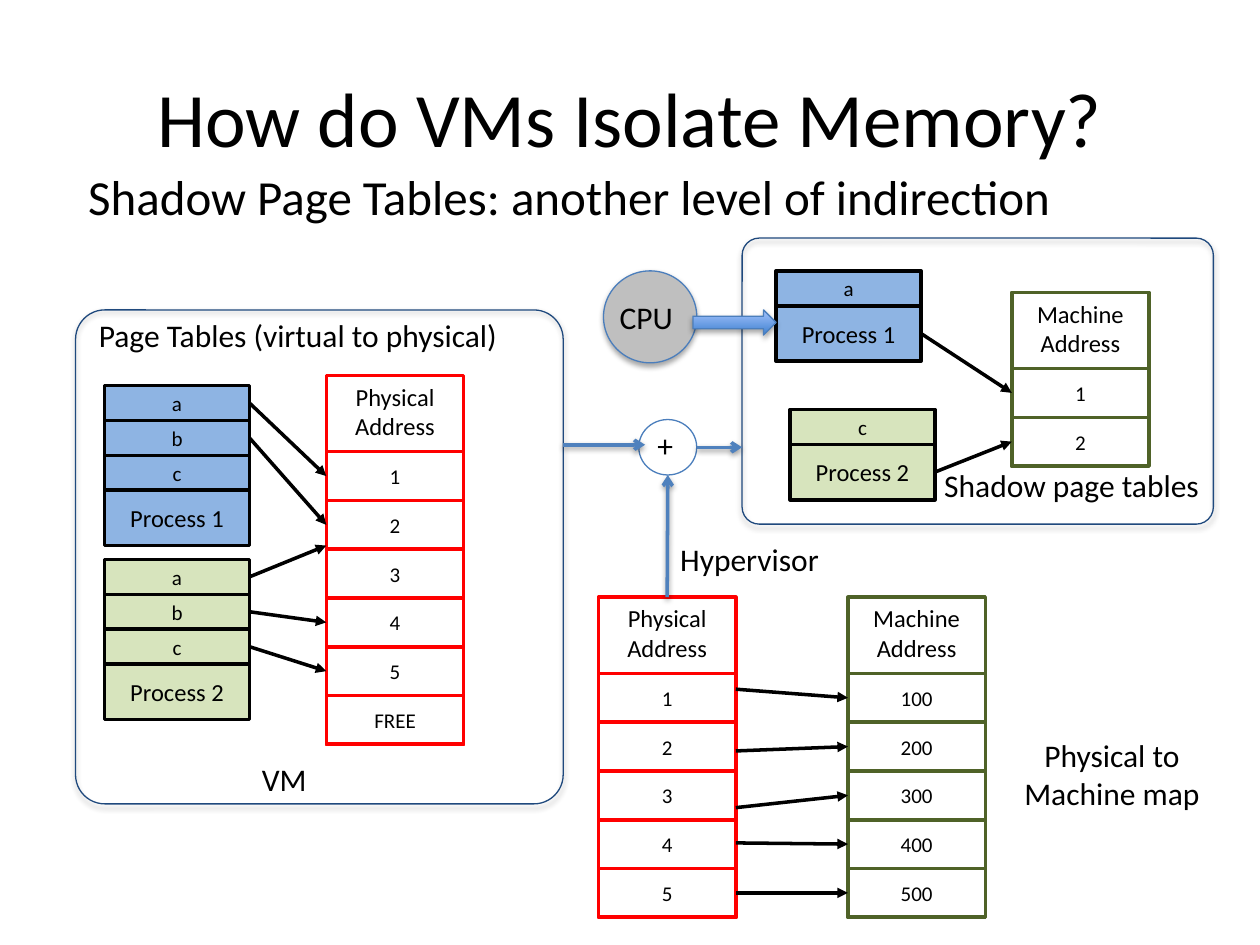
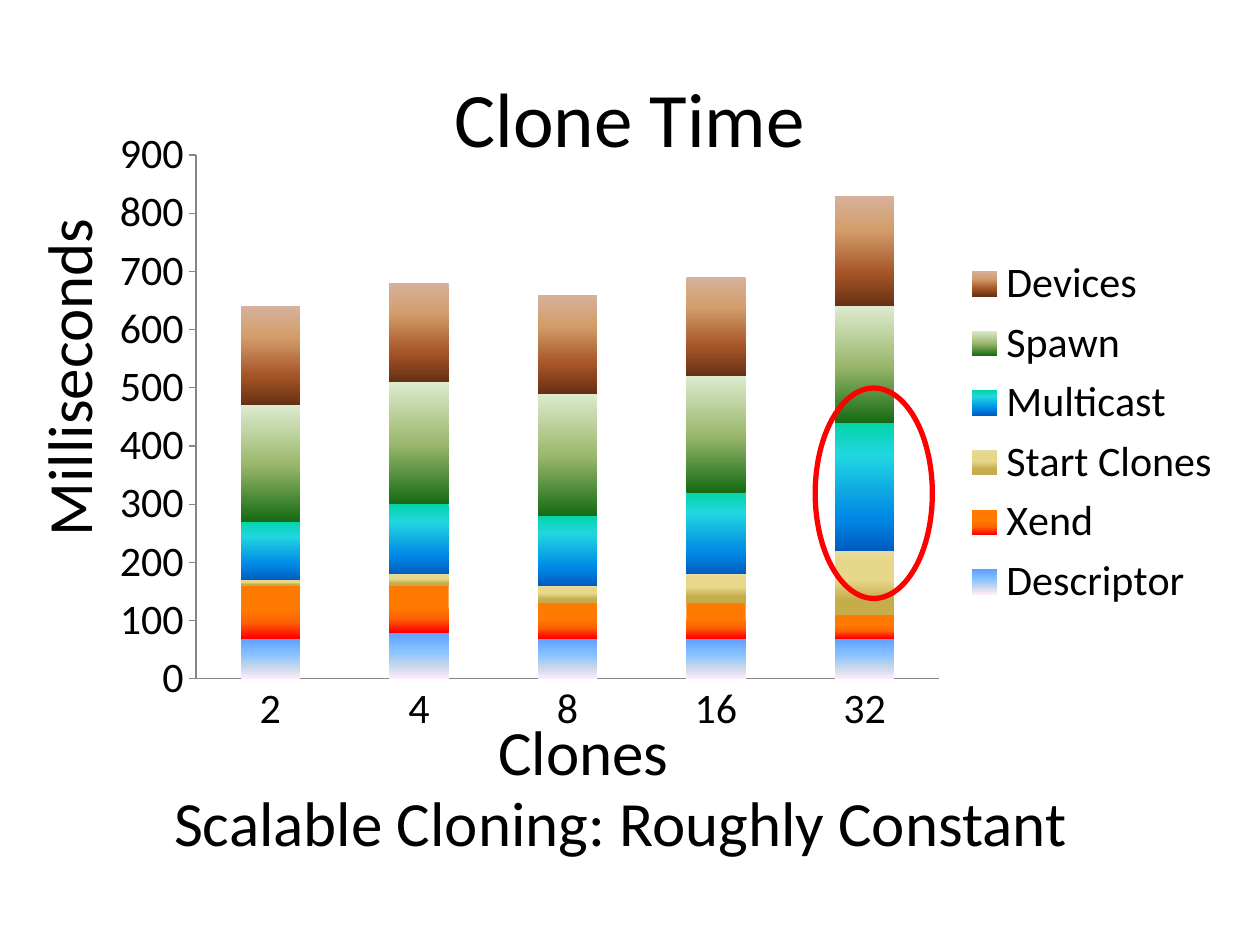
from dataclasses import dataclass

from lxml.etree import SubElement
from pptx import Presentation
from pptx.chart.data import CategoryChartData
from pptx.dml.color import RGBColor
from pptx.enum.chart import XL_CHART_TYPE, XL_LEGEND_POSITION, XL_TICK_MARK
from pptx.enum.shapes import MSO_CONNECTOR, MSO_SHAPE
from pptx.enum.text import MSO_ANCHOR, MSO_AUTO_SIZE, PP_ALIGN
from pptx.oxml.ns import qn
from pptx.util import Emu, Inches, Pt

FONT = "Calibri"
CELL = Inches(10) / 100
ROW_HEIGHT, HEADER_HEIGHT, ADDRESS_WIDTH = 3.87, 6.05, 10.9
ENTRY_HEIGHT, NAME_HEIGHT, PROCESS_WIDTH = 2.77, 4.4, 11.5
TOP, LEFT, RIGHT = 0, 1, 3
COLORS = {
    "text": "000000", "physical": "FF0000", "machine": "4F6228",
    "process 1": "8EB4E3", "process 2": "D7E4BD", "panel": "1F497D",
    "outline": "4B7EBC", "flow": "4F81BD", "cpu": "BFBFBF", "axis": "868686",
}
ARROW_STOPS = [(0, "3F80CE"), (100, "A4C4FF")]
CLONES = ["2", "4", "8", "16", "32"]
STAGES = {
    "Descriptor": ([70, 80, 70, 70, 70],
                   [(0, "5E9EFF"), (40, "85C2FF"), (70, "C4D6EB"), (100, "FFEBFA")]),
    "Xend": ([90, 80, 60, 60, 40],
             [(45, "FF7A00"), (70, "FC6204"), (100, "FF0000")]),
    "Start Clones": ([10, 20, 30, 50, 110],
                     [(0, "E6DCAC"), (12, "E6D78A"), (45, "E6D78A"), (77, "C7AC4C")]),
    "Multicast": ([100, 120, 120, 140, 220],
                  [(0, "03D4A8"), (25, "21D6E0"), (75, "0087E6"), (100, "005CBF")]),
    "Spawn": ([200, 210, 210, 200, 200],
              [(0, "DDEBCF"), (50, "9CB86E"), (100, "156B13")]),
    "Devices": ([170, 170, 170, 170, 190],
                [(0, "D6B19C"), (30, "D49E6C"), (70, "A65528"), (100, "663012")]),
}


@dataclass
class Box:
    """A rectangle measured in cells of a grid of 100 columns and 75 rows."""
    left: float
    top: float
    width: float
    height: float

    def inset(self, left, top, width=0, height=0):
        """Return a box placed relative to this one."""
        return Box(self.left + left, self.top + top, width, height)

    def point(self, left, top):
        """Return a grid point relative to this box."""
        return self.left + left, self.top + top

    def lengths(self):
        """Return left, top, width and height as slide lengths."""
        return [cells(n) for n in (self.left, self.top, self.width, self.height)]


def cells(count):
    """Convert grid cells to a slide length."""
    return Emu(round(count * CELL))


def color(name):
    """Look up a colour by its name."""
    return RGBColor.from_string(COLORS[name])


def write(frame, text, size=18, align=PP_ALIGN.CENTER, anchor=MSO_ANCHOR.TOP,
          wrap=False, grow=False):
    """Fill a text frame and format every span in it."""
    frame.text = text
    frame.word_wrap = wrap
    frame.vertical_anchor = anchor
    frame.auto_size = MSO_AUTO_SIZE.SHAPE_TO_FIT_TEXT if grow else MSO_AUTO_SIZE.NONE
    for para in frame.paragraphs:
        para.alignment = align
        para.space_before = Pt(0)
        for span in para.runs:
            span.font.name = FONT
            span.font.size = Pt(size)
            span.font.color.rgb = color("text")


def label(page, box, text, **style):
    """Add a text box and return it."""
    shape = page.shapes.add_textbox(*box.lengths())
    write(shape.text_frame, text, **style)
    return shape


def shade(fill, owner, stops, angle):
    """Give a fill a linear gradient with the listed stops."""
    fill.gradient()
    fill.gradient_angle = angle
    stop_list = next(owner.iter(qn("a:gsLst")))
    stop_list.clear()
    for position, value in stops:
        stop = SubElement(stop_list, qn("a:gs"), pos=str(position * 1000))
        SubElement(stop, qn("a:srgbClr"), val=value)


def set_shadow(shape, alpha=0, distance=0):
    """Replace the theme shadow by a soft one, or by none when alpha is zero."""
    effects = SubElement(shape.element.spPr, qn("a:effectLst"))
    if alpha:
        outer = SubElement(effects, qn("a:outerShdw"), blurRad="40000", dist=str(distance),
                           dir="5400000", rotWithShape="0")
        tone = SubElement(outer, qn("a:srgbClr"), val=COLORS["text"])
        SubElement(tone, qn("a:alpha"), val=str(alpha * 1000))


def draw(page, kind, box, line, fill=None, weight=2.0, stops=None, shadow=False):
    """Add a preset shape with its outline, fill and shadow."""
    shape = page.shapes.add_shape(kind, *box.lengths())
    shape.line.color.rgb = color(line)
    shape.line.width = Pt(weight)
    if stops:
        shade(shape.fill, shape.element, stops, 90)
    elif fill:
        shape.fill.solid()
        shape.fill.fore_color.rgb = color(fill)
    else:
        shape.fill.background()
    set_shadow(shape, 35 if shadow else 0, 23000)
    return shape


def link(page, start, end, line="text", head="triangle", shadow=False):
    """Draw an arrow between grid points or (shape, side) joints."""
    points = [(0, 0) if hasattr(place[0], "shape_id") else place for place in (start, end)]
    arrow = page.shapes.add_connector(
        MSO_CONNECTOR.STRAIGHT, *[cells(n) for point in points for n in point])
    for place, join in ((start, arrow.begin_connect), (end, arrow.end_connect)):
        if hasattr(place[0], "shape_id"):
            join(*place)
    arrow.line.color.rgb = color(line)
    arrow.line.width = Pt(2)
    SubElement(arrow.element.spPr.find(qn("a:ln")), qn("a:tailEnd"), type=head)
    set_shadow(arrow, 38 if shadow else 0, 20000)


def address_table(page, box, kind, rows):
    """Draw a headed column of addresses; return its frame and its rows."""
    height = HEADER_HEIGHT + len(rows) * ROW_HEIGHT
    frame = draw(page, MSO_SHAPE.RECTANGLE, box.inset(0, 0, ADDRESS_WIDTH, height), kind)
    write(frame.text_frame, kind.title() + "\vAddress", size=14)
    slots = []
    for index, text in enumerate(rows):
        place = box.inset(0, HEADER_HEIGHT + index * ROW_HEIGHT, ADDRESS_WIDTH, ROW_HEIGHT)
        slot = draw(page, MSO_SHAPE.RECTANGLE, place, kind)
        write(slot.text_frame, text, size=12, anchor=MSO_ANCHOR.MIDDLE)
        slots.append(slot)
    return frame, slots


def process_table(page, box, name, entries):
    """Draw a process with its pages above its name; return all its bars."""
    bars = []
    for index, text in enumerate([*entries, name]):
        is_name = text == name
        place = box.inset(0, index * ENTRY_HEIGHT, PROCESS_WIDTH,
                          NAME_HEIGHT if is_name else ENTRY_HEIGHT)
        bar = draw(page, MSO_SHAPE.RECTANGLE, place, "text", fill=name.lower())
        write(bar.text_frame, text, size=14 if is_name else 12, anchor=MSO_ANCHOR.MIDDLE)
        bars.append(bar)
    return bars


def panel(page, box):
    """Outline a region with a rounded frame."""
    frame = draw(page, MSO_SHAPE.ROUNDED_RECTANGLE, box, "panel", weight=0.75, shadow=True)
    frame.adjustments[0] = 0.06


def vm_panel(page, box):
    """Draw the page tables inside the virtual machine."""
    slots = address_table(page, box.inset(19.9, 5.2), "physical",
                          ["1", "2", "3", "4", "5", "FREE"])[1]
    first = process_table(page, box.inset(2.3, 6), "Process 1", "abc")
    second = process_table(page, box.inset(2.3, 19.8), "Process 2", "abc")
    ends = [(slots[0], LEFT), (slots[1], LEFT), box.point(19.9, 18.7),
            (slots[3], LEFT), (slots[4], LEFT)]
    for entry, end in zip(first[:2] + second[:3], ends):
        link(page, (entry, RIGHT), end)
    label(page, box.inset(0.7, 0, 33.9, 4), "Page Tables (virtual to physical)", grow=True)
    label(page, box.inset(13.8, 35.2, 5.6, 4), "VM", align=PP_ALIGN.LEFT, grow=True)
    panel(page, box)


def hypervisor_map(page, box):
    """Draw the physical to machine map; return the physical table."""
    frame, physical = address_table(page, box.inset(0, 5), "physical", "12345")
    machine = address_table(page, box.inset(19.8, 5), "machine",
                            [f"{n}00" for n in range(1, 6)])[1]
    starts = [box.point(ADDRESS_WIDTH, top) for top in (12.3, 17.2, 21.7, 24.5)]
    for start, slot in zip([*starts, (physical[-1], RIGHT)], machine):
        link(page, start, (slot, LEFT))
    label(page, box.inset(5.5, 0, 13.1, 4), "Hypervisor", align=PP_ALIGN.LEFT, grow=True)
    label(page, box.inset(32.7, 15.5, 16.1, 7.1), "Physical to\nMachine map", grow=True)
    return frame


def shadow_panel(page, box):
    """Draw the shadow page tables."""
    slots = address_table(page, box.inset(21.4, 4.3), "machine", "12")[1]
    processes = [process_table(page, box.inset(2.7, 2.6), "Process 1", "a"),
                 process_table(page, box.inset(3.8, 13.6), "Process 2", "c")]
    for bars, slot in zip(processes, slots):
        link(page, (bars[-1], RIGHT), (slot, LEFT))
    label(page, box.inset(14.9, 17.6, 22.5, 4), "Shadow page tables", grow=True)
    panel(page, box)


def translation_flow(page, box, physical_table):
    """Draw the CPU and the adder that joins both mappings."""
    draw(page, MSO_SHAPE.OVAL, box.inset(3.2, 0, 7.4, 7.3), "outline", fill="cpu",
         weight=0.75, shadow=True)
    label(page, box.inset(3.5, 1.7, 6.3, 4), "CPU", align=PP_ALIGN.LEFT, grow=True)
    draw(page, MSO_SHAPE.RIGHT_ARROW, box.inset(10.3, 3.1, 6.6, 2), "outline",
         stops=ARROW_STOPS, weight=0.75, shadow=True)
    draw(page, MSO_SHAPE.OVAL, box.inset(6, 11.8, 4.6, 4.4), "outline", weight=0.75)
    label(page, box.inset(6.5, 11.8, 3.3, 4), "+", align=PP_ALIGN.LEFT, grow=True)
    for start, end in (((physical_table, TOP), box.point(8.3, 16.2)),
                       (box.point(0, 13.8), box.point(6.5, 13.8)),
                       (box.point(10.6, 14), box.point(14.2, 14))):
        link(page, start, end, line="flow", head="arrow", shadow=True)


def place_text(holder, box, text, **style):
    """Move a placeholder and fill it."""
    holder.left, holder.top, holder.width, holder.height = box.lengths()
    write(holder.text_frame, text, wrap=True, **style)


def add_page(deck, layout, title):
    """Add a slide with the shared title style."""
    page = deck.slides.add_slide(deck.slide_layouts[layout])
    place_text(page.shapes.title, Box(5, 3, 90, 12.5), title, size=44,
               anchor=MSO_ANCHOR.MIDDLE)
    return page


def memory_page(deck):
    """Build the slide on memory isolation."""
    page = add_page(deck, 1, "How do VMs Isolate Memory?")
    body = page.placeholders[1]
    place_text(body, Box(6, 12.7, 90, 57.3),
               "Shadow Page Tables: another level of indirection",
               size=28, align=PP_ALIGN.LEFT)
    properties = body.text_frame.paragraphs[0]._p.get_or_add_pPr()
    properties.set("marL", str(Inches(0.38)))
    properties.set("indent", str(-Inches(0.38)))
    SubElement(properties, qn("a:buNone"))
    vm_panel(page, Box(6, 24.6, 38.7, 39.2))
    physical_table = hypervisor_map(page, Box(47.5, 42.4, 48.8, 30.4))
    shadow_panel(page, Box(58.9, 18.9, 37.4, 22.7))
    translation_flow(page, Box(44.7, 21.5, 16.9, 25.9), physical_table)


def style_font(font, size):
    """Format the text of a chart element."""
    font.name = FONT
    font.size = Pt(size)
    font.color.rgb = color("text")


def clone_chart(page, box):
    """Add the stacked columns of clone times."""
    data = CategoryChartData()
    data.categories = CLONES
    for name, (values, _) in STAGES.items():
        data.add_series(name, values)
    chart = page.shapes.add_chart(XL_CHART_TYPE.COLUMN_STACKED, *box.lengths(), data).chart
    style_font(chart.font, 18)
    chart.has_title = False
    chart.has_legend = True
    chart.legend.position = XL_LEGEND_POSITION.RIGHT
    chart.legend.include_in_layout = False
    style_font(chart.legend.font, 24)
    for axis, tick in ((chart.category_axis, XL_TICK_MARK.NONE),
                       (chart.value_axis, XL_TICK_MARK.OUTSIDE)):
        axis.major_tick_mark = tick
        axis.minor_tick_mark = XL_TICK_MARK.NONE
        axis.has_major_gridlines = False
        axis.format.line.color.rgb = color("axis")
        style_font(axis.tick_labels.font, 24)
    chart.value_axis.minimum_scale, chart.value_axis.maximum_scale = 0, 900
    chart.value_axis.major_unit = 100
    plot = chart.plots[0]
    plot.gap_width, plot.overlap, plot.vary_by_categories = 150, 100, False
    owners = chart.element.iter(qn("c:ser"))
    for series, owner, (_, stops) in zip(plot.series, owners, STAGES.values()):
        shade(series.format.fill, owner, stops, 270)
    area = next(chart.element.iter(qn("c:plotArea")))
    for old in area.findall(qn("c:layout")):
        area.remove(old)
    layout = area.makeelement(qn("c:layout"))
    area.insert(0, layout)
    manual = SubElement(layout, qn("c:manualLayout"))
    for tag, value in (("layoutTarget", "inner"), ("xMode", "edge"), ("yMode", "edge"),
                       ("x", "0.09"), ("y", "0.06"), ("w", "0.65"), ("h", "0.83")):
        SubElement(manual, qn("c:" + tag), val=value)


def clone_page(deck):
    """Build the slide on clone time."""
    page = add_page(deck, 5, "Clone Time")
    clone_chart(page, Box(7.4, 9.3, 90.7, 50.1))
    for text, box, turn in (
            ("Clones", Box(33.4, 55.2, 25.8, 8.7), 0),
            ("Milliseconds", Box(-8.8, 25.8, 28.3, 8.3), 270),
            ("Scalable Cloning: Roughly Constant", Box(12.6, 60.8, 73.3, 8.7), 0)):
        caption = label(page, box, text, size=36, anchor=MSO_ANCHOR.MIDDLE, wrap=True)
        caption.rotation = turn
    draw(page, MSO_SHAPE.OVAL, Box(64.7, 30.8, 9.3, 16.7), "physical", weight=3)


def main():
    """Build and save the deck."""
    deck = Presentation()
    deck.slide_width, deck.slide_height = Inches(10), Inches(7.5)
    memory_page(deck)
    clone_page(deck)
    deck.save("out.pptx")


if __name__ == "__main__":
    main()
